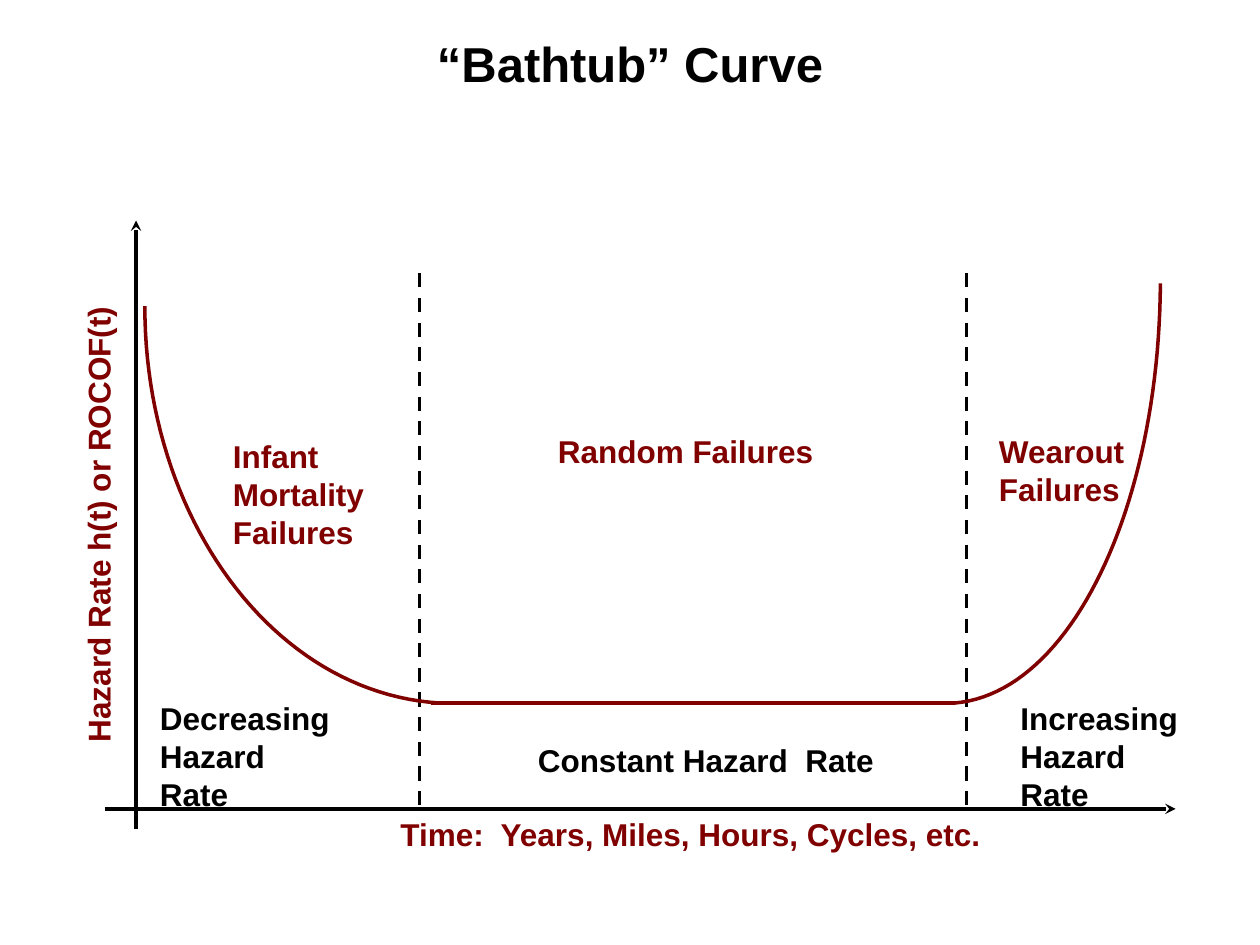
from lxml import etree
from pptx import Presentation
from pptx.dml.color import RGBColor
from pptx.enum.dml import MSO_LINE
from pptx.enum.shapes import MSO_CONNECTOR
from pptx.enum.text import MSO_ANCHOR, MSO_AUTO_SIZE, PP_ALIGN
from pptx.oxml.ns import qn
from pptx.util import Inches, Pt

STRAIGHT = MSO_CONNECTOR.STRAIGHT
DASH = MSO_LINE.DASH
MIDDLE = MSO_ANCHOR.MIDDLE
FIT = MSO_AUTO_SIZE.SHAPE_TO_FIT_TEXT
LEFT, CENTER = PP_ALIGN.LEFT, PP_ALIGN.CENTER

BLACK, MAROON = "000000", "800000"
FLOOR, BASE = 5.58, 6.42
TITLE = "“Bathtub” Curve"

AXES = [
    ((1.08, 1.75), (1.08, 6.58), "headEnd"),
    ((0.83, BASE), (9.33, BASE), "tailEnd"),
]
DIVIDERS = [3.33, 7.67]
CURVES = [
    [(1.15, 2.43), (1.15, 4.11), (2.17, 5.5), (3.49, FLOOR)],
    [(7.58, FLOOR), (8.5, 5.5), (9.2, 4.02), (9.21, 2.25)],
]
LABELS = [
    ("Hazard Rate h(t) or ROCOF(t)", (-1.05, 3.96, 3.66, 0.4), MAROON, False, 270),
    ("Random Failures", (4.33, 3.38, 2.23, 0.4), MAROON, False, 0),
    ("Wearout\nFailures", (7.83, 3.38, 1.2, 0.7), MAROON, False, 0),
    ("Infant\nMortality\nFailures", (1.75, 3.42, 1.24, 1), MAROON, False, 0),
    ("Decreasing\nHazard\nRate", (1.17, 5.5, 1.58, 1), BLACK, True, 0),
    ("Constant Hazard  Rate", (4.17, 5.83, 2.92, 0.4), BLACK, True, 0),
    ("Increasing\nHazard\nRate", (8, 5.5, 1.75, 1), BLACK, True, 0),
    ("Time:  Years, Miles, Hours, Cycles, etc.", (3.08, BASE, 4.83, 0.4), MAROON, False, 0),
]


def rgb(value):
    return RGBColor.from_string(value)


def write(tf, text, size=18, color=BLACK, align=LEFT, spacing=None):
    for i, line in enumerate(text.split("\n")):
        p = tf.paragraphs[0] if i == 0 else tf.add_paragraph()
        p.alignment = align
        p.line_spacing = spacing
        r = p.add_run()
        r.text = line
        r.font.name = "Arial"
        r.font.size = Pt(size)
        r.font.bold = True
        r.font.color.rgb = rgb(color)


def add_line(s, start, end, color=BLACK, dash=None, arrow=None):
    c = s.shapes.add_connector(STRAIGHT, *map(Inches, start + end))
    c.line.color.rgb = rgb(color)
    c.line.width = Pt(2)
    if dash:
        c.line.dash_style = dash
    if arrow:
        etree.SubElement(c.line._get_or_add_ln(), qn("a:" + arrow), type="stealth")
    etree.SubElement(c._element.spPr, qn("a:effectLst"))


def bezier(points, t):
    weights = ((1 - t) ** 3, 3 * t * (1 - t) ** 2, 3 * t * t * (1 - t), t ** 3)
    return tuple(Inches(sum(w * v for w, v in zip(weights, axis))) for axis in zip(*points))


def add_curve(s, points, steps=48):
    path = [bezier(points, i / steps) for i in range(steps + 1)]
    builder = s.shapes.build_freeform(*path[0])
    builder.add_line_segments(path[1:], close=False)
    sp = builder.convert_to_shape()
    sp.shadow.inherit = False
    sp.fill.background()
    sp.line.color.rgb = rgb(MAROON)
    sp.line.width = Pt(2)


def add_label(s, text, box, color, wrap, rotation):
    sp = s.shapes.add_textbox(*map(Inches, box))
    sp.rotation = rotation
    tf = sp.text_frame
    tf.word_wrap = wrap
    tf.auto_size = FIT
    write(tf, text, color=color, spacing=Pt(21.6))


def main():
    prs = Presentation()
    prs.slide_width, prs.slide_height = Inches(10), Inches(7.5)
    s = prs.slides.add_slide(prs.slide_layouts[5])

    title = s.shapes.title
    title.left, title.top, title.width, title.height = map(Inches, (0, 0, 10, 1))
    title.text_frame.vertical_anchor = MIDDLE
    write(title.text_frame, TITLE, size=28, align=CENTER)

    for start, end, arrow in AXES:
        add_line(s, start, end, arrow=arrow)
    for x in DIVIDERS:
        add_line(s, (x, 2.17), (x, 6.41), dash=DASH)
    for points in CURVES:
        add_curve(s, points)
    add_line(s, (3.42, FLOOR), (7.58, FLOOR), color=MAROON)
    for label in LABELS:
        add_label(s, *label)

    prs.save("out.pptx")


if __name__ == "__main__":
    main()
